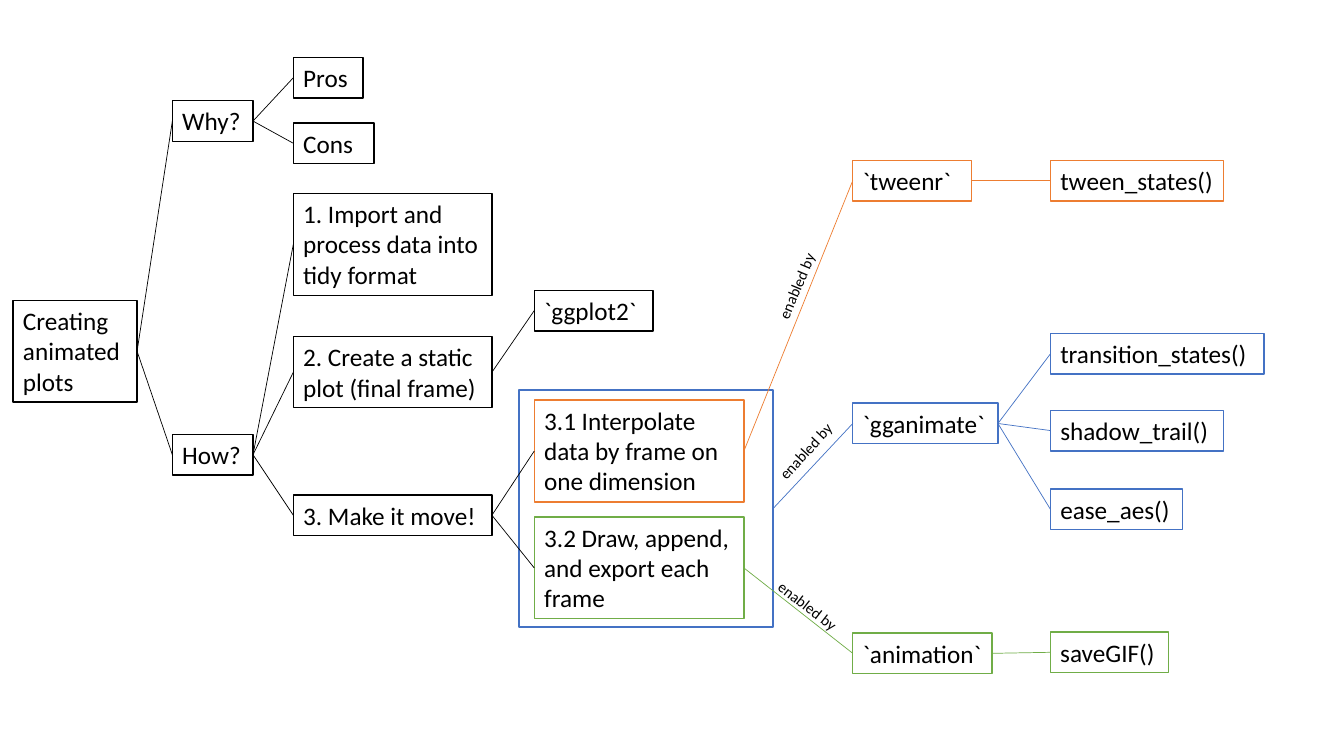
from dataclasses import dataclass
from typing import NamedTuple

from pptx import Presentation
from pptx.dml.color import RGBColor
from pptx.enum.shapes import MSO_CONNECTOR, MSO_SHAPE
from pptx.enum.text import MSO_ANCHOR, MSO_AUTO_SIZE, PP_ALIGN
from pptx.oxml.ns import qn
from pptx.util import Inches, Pt

RECTANGLE = MSO_SHAPE.RECTANGLE
STRAIGHT = MSO_CONNECTOR.STRAIGHT
TOP = MSO_ANCHOR.TOP
LEFT = PP_ALIGN.LEFT
FIT_TEXT = MSO_AUTO_SIZE.SHAPE_TO_FIT_TEXT
LEFT_SITE = 1
RIGHT_SITE = 3
BLANK_LAYOUT = 6


@dataclass(frozen=True)
class Theme:
    font: str = "Calibri"
    node_size: float = 18
    label_size: float = 11
    border_width: float = 1
    link_width: float = 0.5
    paper: str = "FFFFFF"
    ink: str = "000000"
    orange: str = "ED7D31"
    blue: str = "4472C4"
    green: str = "70AD47"


class Area(NamedTuple):
    column: float
    row: float
    columns: float
    rows: float


class Node(NamedTuple):
    text: str
    level: int
    row: float
    columns: float
    lines: int = 1
    color: str = Theme.ink


class Link(NamedTuple):
    start: str
    end: str
    color: str = Theme.ink


class Label(NamedTuple):
    column: float
    row: float
    rotation: float


THEME = Theme()
CELL = Inches(0.1)
SLIDE_COLUMNS, SLIDE_ROWS = 133.33, 75
LEVEL_COLUMNS = (1.3, 17.1, 29.1, 53, 84.6, 104.2)
PADDING_ROWS, LINE_ROWS = 1, 3.03
LABEL_COLUMNS, LABEL_ROWS = 8.9, 2.9
LABEL_TEXT = "enabled by"
FRAME_AREA = Area(51.5, 38.7, 25.2, 23.5)

NODES = {
    "plots": Node("Creating animated plots", 0, 29.8, 12.3, 3),
    "why": Node("Why?", 1, 10, 8),
    "how": Node("How?", 1, 43.1, 8),
    "pros": Node("Pros", 2, 5.7, 6.9),
    "cons": Node("Cons", 2, 12.2, 8),
    "import": Node("1. Import and process data into tidy format", 2, 19.2, 19.7, 3),
    "static": Node("2. Create a static plot (final frame)", 2, 33.4, 19.7, 2),
    "move": Node("3. Make it move!", 2, 49.1, 19.7),
    "ggplot2": Node("`ggplot2`", 3, 28.8, 11.8),
    "interpolate": Node("3.1 Interpolate data by frame on one dimension", 3, 39.7, 20.8, 3, THEME.orange),
    "draw": Node("3.2 Draw, append, and export each frame", 3, 51.3, 20.8, 3, THEME.green),
    "tweenr": Node("`tweenr`", 4, 15.9, 11.8, color=THEME.orange),
    "gganimate": Node("`gganimate`", 4, 40, 14.4, color=THEME.blue),
    "animation": Node("`animation`", 4, 62.8, 13.8, color=THEME.green),
    "tween_states": Node("tween_states()", 5, 15.9, 17.2, color=THEME.orange),
    "transition_states": Node("transition_states()", 5, 33.1, 21.2, color=THEME.blue),
    "shadow_trail": Node("shadow_trail()", 5, 40.7, 17.2, color=THEME.blue),
    "ease_aes": Node("ease_aes()", 5, 48.5, 13.1, color=THEME.blue),
    "save_gif": Node("saveGIF()", 5, 62.7, 11.7, color=THEME.green),
}

LINKS = (
    Link("plots", "why"),
    Link("plots", "how"),
    Link("why", "pros"),
    Link("why", "cons"),
    Link("how", "import"),
    Link("how", "static"),
    Link("how", "move"),
    Link("static", "ggplot2"),
    Link("move", "interpolate"),
    Link("move", "draw"),
    Link("interpolate", "tweenr", THEME.orange),
    Link("frame", "gganimate", THEME.blue),
    Link("draw", "animation", THEME.green),
    Link("tweenr", "tween_states", THEME.orange),
    Link("gganimate", "transition_states", THEME.blue),
    Link("gganimate", "shadow_trail", THEME.blue),
    Link("gganimate", "ease_aes", THEME.blue),
    Link("animation", "save_gif", THEME.green),
)

LABELS = (Label(74.6, 26.9, 292.9), Label(75.5, 43.3, 312.4), Label(75.7, 58.7, 37.8))


def cells(count: float) -> int:
    return round(count * CELL)


def write_text(shape, text: str, *, size: float, wrap: bool = True) -> None:
    frame = shape.text_frame
    frame.word_wrap = wrap
    frame.auto_size = FIT_TEXT
    frame.vertical_anchor = TOP
    paragraph = frame.paragraphs[0]
    paragraph.alignment = LEFT
    run = paragraph.add_run()
    run.text = text
    run.font.name = THEME.font
    run.font.size = Pt(size)
    run.font.color.rgb = RGBColor.from_string(THEME.ink)


def draw_box(slide, area: Area, color: str):
    shape = slide.shapes.add_shape(RECTANGLE, *map(cells, area))
    shape.shadow.inherit = False
    shape.fill.solid()
    shape.fill.fore_color.rgb = RGBColor.from_string(THEME.paper)
    shape.line.color.rgb = RGBColor.from_string(color)
    shape.line.width = Pt(THEME.border_width)
    return shape


def draw_node(slide, node: Node):
    rows = PADDING_ROWS + LINE_ROWS * node.lines
    area = Area(LEVEL_COLUMNS[node.level], node.row, node.columns, rows)
    shape = draw_box(slide, area, node.color)
    write_text(shape, node.text, size=THEME.node_size)
    return shape


def draw_link(slide, link: Link, boxes: dict) -> None:
    connector = slide.shapes.add_connector(STRAIGHT, 0, 0, 0, 0)
    connector.begin_connect(boxes[link.start], RIGHT_SITE)
    connector.end_connect(boxes[link.end], LEFT_SITE)
    connector.line.color.rgb = RGBColor.from_string(link.color)
    connector.line.width = Pt(THEME.link_width)
    properties = connector.element.spPr
    properties.append(properties.makeelement(qn("a:effectLst"), {}))


def draw_label(slide, label: Label) -> None:
    area = Area(label.column, label.row, LABEL_COLUMNS, LABEL_ROWS)
    shape = slide.shapes.add_textbox(*map(cells, area))
    shape.rotation = label.rotation
    write_text(shape, LABEL_TEXT, size=THEME.label_size, wrap=False)


def main() -> None:
    presentation = Presentation()
    presentation.slide_width = cells(SLIDE_COLUMNS)
    presentation.slide_height = cells(SLIDE_ROWS)
    slide = presentation.slides.add_slide(presentation.slide_layouts[BLANK_LAYOUT])
    boxes = {"frame": draw_box(slide, FRAME_AREA, THEME.blue)}
    for name, node in NODES.items():
        boxes[name] = draw_node(slide, node)
    for link in LINKS:
        draw_link(slide, link, boxes)
    for label in LABELS:
        draw_label(slide, label)
    presentation.save("out.pptx")


main()
